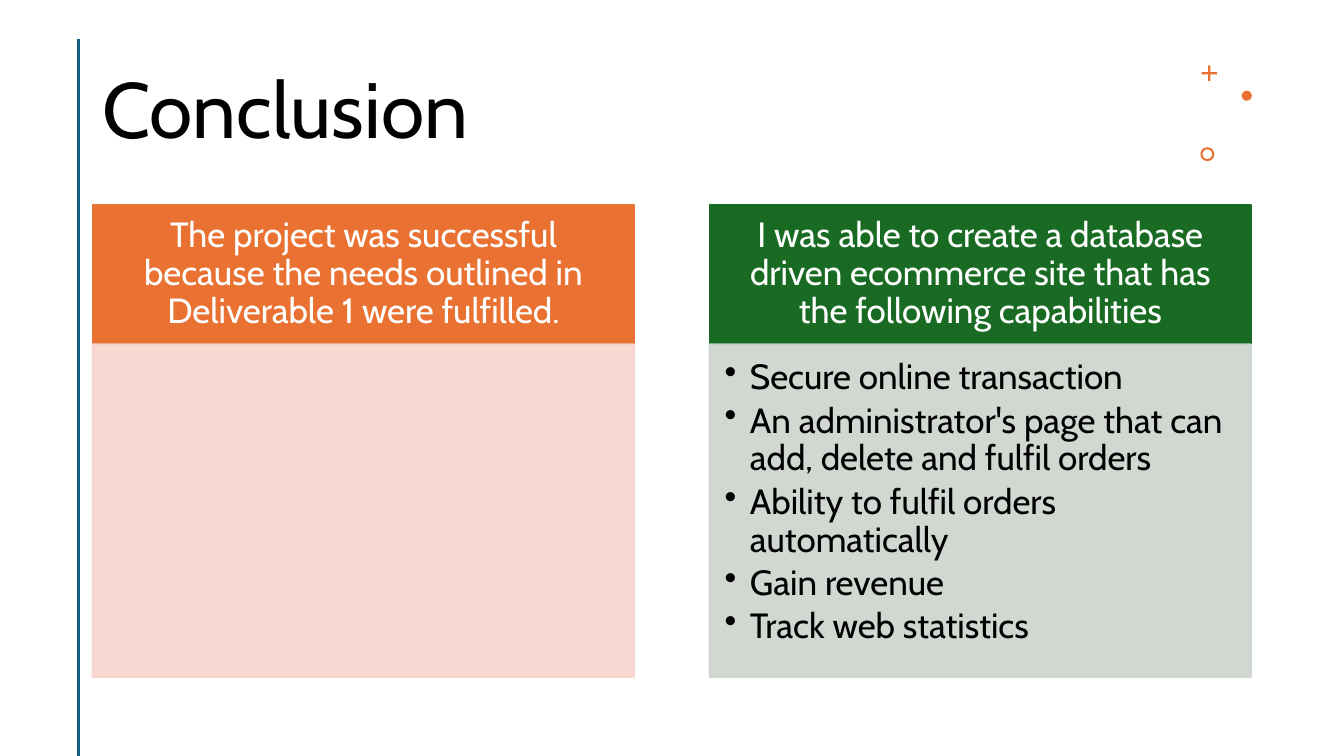
from lxml import etree
from pptx import Presentation
from pptx.dml.color import RGBColor
from pptx.enum.shapes import MSO_CONNECTOR, MSO_SHAPE
from pptx.enum.text import MSO_ANCHOR, PP_ALIGN
from pptx.oxml.ns import qn
from pptx.util import Pt

FONT = "Cabin"
BLACK = RGBColor(0x00, 0x00, 0x00)
WHITE = RGBColor(0xFF, 0xFF, 0xFF)
TEAL = RGBColor(0x15, 0x60, 0x82)
ORANGE = RGBColor(0xE9, 0x71, 0x32)
GREEN = RGBColor(0x19, 0x6B, 0x24)
PALE_ORANGE = RGBColor(0xF7, 0xD5, 0xCE)
PALE_GREEN = RGBColor(0xCC, 0xD4, 0xCD)

presentation = Presentation()
presentation.slide_width, presentation.slide_height = Pt(960), Pt(540)
slide = presentation.slides.add_slide(presentation.slide_layouts[6])


def add_filled(kind, left, top, width, height, color, outlined=False):
    shape = slide.shapes.add_shape(kind, Pt(left), Pt(top), Pt(width), Pt(height))
    shape.shadow.inherit = False
    shape.fill.solid()
    shape.fill.fore_color.rgb = color
    if outlined:
        shape.line.color.rgb = color
        shape.line.width = Pt(1.5)
    else:
        shape.line.fill.background()
    return shape


def write_lines(shape, lines, size, color, align, anchor, insets):
    frame = shape.text_frame
    frame.word_wrap = True
    frame.vertical_anchor = anchor
    (frame.margin_left, frame.margin_top,
     frame.margin_right, frame.margin_bottom) = [Pt(inset) for inset in insets]
    for index, line in enumerate(lines):
        paragraph = frame.paragraphs[0] if index == 0 else frame.add_paragraph()
        paragraph.text = line
        paragraph.alignment = align
        paragraph.line_spacing = 0.9
        paragraph.font.name = FONT
        paragraph.font.size = Pt(size)
        paragraph.font.color.rgb = color
    return frame.paragraphs


# Title
title = slide.shapes.add_textbox(Pt(66.24), Pt(28.8), Pt(774.72), Pt(104.4))
write_lines(title, ["Conclusion"], 56, BLACK, PP_ALIGN.LEFT,
            MSO_ANCHOR.MIDDLE, (7.2, 3.6, 7.2, 3.6))

# Vertical rule beside the content
rule = slide.shapes.add_connector(MSO_CONNECTOR.STRAIGHT, Pt(56.16), Pt(28),
                                  Pt(56.16), Pt(540))
rule.line.color.rgb = TEAL
rule.line.width = Pt(2)
etree.SubElement(rule._element.spPr, qn("a:effectLst"))

# Plus, dot and ring ornaments
plus = add_filled(MSO_SHAPE.CROSS, 858.3, 46.8, 11, 11, ORANGE)
plus.adjustments[0] = 0.43
add_filled(MSO_SHAPE.OVAL, 887, 64.8, 7.2, 7.2, ORANGE)
ring = add_filled(MSO_SHAPE.DONUT, 857.4, 105.1, 10, 10, ORANGE)
ring.adjustments[0] = 0.15

# Two columns: a header above a translucent panel
COLUMN_WIDTH, HEADER_TOP, HEADER_HEIGHT = 386.64, 146.16, 99.6
PANEL_TOP, PANEL_HEIGHT = 246, 237.6
columns = [
    (66.24, ORANGE, PALE_ORANGE,
     "The project was successful because the needs outlined in "
     "Deliverable 1 were fulfilled.", []),
    (506.88, GREEN, PALE_GREEN,
     "I was able to create a database driven ecommerce site that has "
     "the following capabilities",
     ["Secure online transaction",
      "An administrator's page that can add, delete and fulfil orders",
      "Ability to fulfil orders automatically",
      "Gain revenue",
      "Track web statistics"]),
]
for left, header_color, panel_color, heading, bullets in columns:
    header = add_filled(MSO_SHAPE.RECTANGLE, left, HEADER_TOP, COLUMN_WIDTH,
                        HEADER_HEIGHT, header_color, outlined=True)
    write_lines(header, [heading], 25, WHITE, PP_ALIGN.CENTER,
                MSO_ANCHOR.MIDDLE, (14, 8, 14, 8))

    panel = add_filled(MSO_SHAPE.RECTANGLE, left, PANEL_TOP, COLUMN_WIDTH,
                       PANEL_HEIGHT, panel_color, outlined=True)
    for color_element in panel._element.spPr.iter(qn("a:srgbClr")):
        etree.SubElement(color_element, qn("a:alpha"), val="90000")
    if bullets:
        paragraphs = write_lines(panel, bullets, 25, BLACK, PP_ALIGN.LEFT,
                                 MSO_ANCHOR.TOP, (10.8, 10.8, 14, 16))
        for paragraph in paragraphs:
            paragraph.space_after = Pt(4)
            properties = paragraph._p.get_or_add_pPr()
            properties.set("marL", str(Pt(18)))
            properties.set("indent", str(Pt(-18)))
            bullet = etree.Element(qn("a:buChar"), char="•")
            properties.find(qn("a:defRPr")).addprevious(bullet)

presentation.save("out.pptx")
